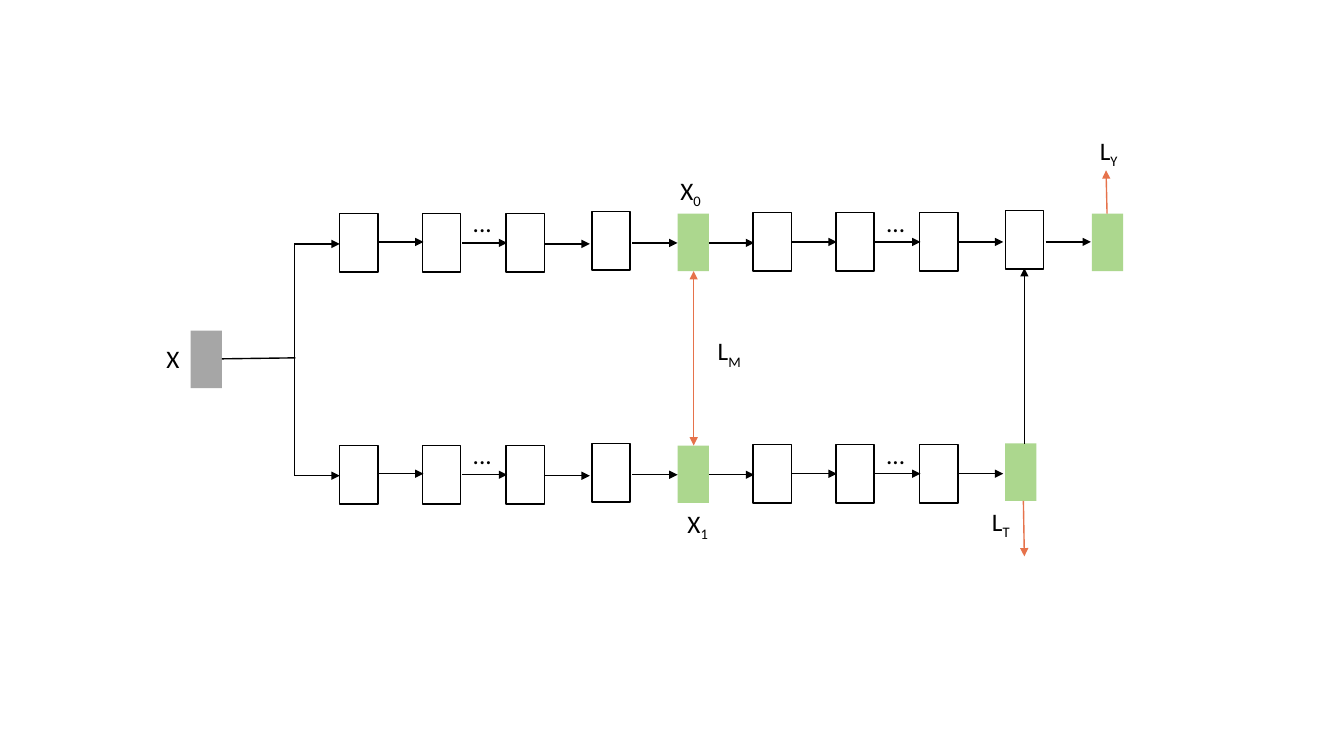
"""Build a slide with a two-branch network diagram and its three losses."""
from lxml import etree
from pptx import Presentation
from pptx.dml.color import RGBColor
from pptx.enum.shapes import MSO_CONNECTOR, MSO_SHAPE
from pptx.enum.text import MSO_AUTO_SIZE
from pptx.oxml.ns import qn
from pptx.util import Inches, Pt

RECTANGLE = MSO_SHAPE.RECTANGLE
STRAIGHT = MSO_CONNECTOR.STRAIGHT
GROW = MSO_AUTO_SIZE.SHAPE_TO_FIT_TEXT

BLACK, WHITE, GRAY, GREEN, ORANGE = "000000", "FFFFFF", "A6A6A6", "ACD78E", "E6724B"
LAYER_SIZE = (0.38, 0.58)
STATE_SIZE = (0.31, 0.57)
ARROW_LENGTH = 0.45
BRANCH_OFFSETS = (0, 2.3)

BRANCH_LAYERS = [(3.37, 2.12), (4.19, 2.12), (5.02, 2.12), (5.87, 2.1),
                 (7.47, 2.11), (8.29, 2.11), (9.12, 2.11)]
BRANCH_ARROWS = [(2.92, 2.42), (3.75, 2.4), (4.58, 2.41), (5.4, 2.42), (6.27, 2.41),
                 (7.03, 2.41), (7.85, 2.4), (8.68, 2.4), (9.5, 2.4)]
BRANCH_DOTS = [(4.59, 2.01), (8.69, 2.01)]
MERGE_LAYER = (9.97, 2.09)
MERGE_ARROW = (10.37, 2.4)

STATES = [(1.89, 3.28, GRAY), (6.72, 2.12, GREEN), (6.72, 4.42, GREEN),
          (9.97, 4.4, GREEN), (10.83, 2.12, GREEN)]
LINKS = [
    ((2.2, 3.56), (2.93, 3.55), BLACK, ()),
    ((2.92, 2.42), (2.92, 4.72), BLACK, ()),
    ((10.16, 4.4), (10.16, 2.66), BLACK, ("tailEnd",)),
    ((10.15, 4.97), (10.16, 5.52), ORANGE, ("tailEnd",)),
    ((10.98, 2.12), (10.97, 1.69), ORANGE, ("tailEnd",)),
    ((6.88, 4.42), (6.88, 2.69), ORANGE, ("headEnd", "tailEnd")),
]
LABELS = [
    ("X", "1", 6.72, 4.99, 0.6),
    ("X", "0", 6.65, 1.69, 0.6),
    ("L", "T", 9.74, 4.97, 0.63),
    ("L", "Y", 10.81, 1.29, 0.63),
    ("L", "M", 7.02, 3.28, 0.63),
]


def color(value):
    return RGBColor.from_string(value)


def add_box(slide, left, top, size, fill, outline=None):
    shape = slide.shapes.add_shape(RECTANGLE, *map(Inches, (left, top, *size)))
    shape.shadow.inherit = False
    shape.fill.solid()
    shape.fill.fore_color.rgb = color(fill)
    if outline:
        shape.line.color.rgb = color(outline)
        shape.line.width = Pt(1)
    else:
        shape.line.fill.background()


def add_link(slide, start, end, line_color=BLACK, heads=("tailEnd",)):
    connector = slide.shapes.add_connector(STRAIGHT, *map(Inches, (*start, *end)))
    connector.line.color.rgb = color(line_color)
    connector.line.width = Pt(1)
    line = connector.line._get_or_add_ln()
    for head in heads:
        etree.SubElement(line, qn(f"a:{head}")).set("type", "triangle")
    etree.SubElement(connector._element.spPr, qn("a:effectLst"))


def add_arrow(slide, left, top):
    add_link(slide, (left, top), (left + ARROW_LENGTH, top))


def add_label(slide, text, left, top, width, subscript="", margins=(0.1, 0.1)):
    box = slide.shapes.add_textbox(*map(Inches, (left, top, width, 0.4)))
    frame = box.text_frame
    frame.word_wrap = True
    frame.auto_size = GROW
    frame.margin_left, frame.margin_right = map(Inches, margins)
    paragraph = frame.paragraphs[0]
    for part in filter(None, (text, subscript)):
        run = paragraph.add_run()
        run.text = part
        run.font.name = "Calibri"
        run.font.size = Pt(18)
        run.font.color.rgb = color(BLACK)
    if subscript:
        run.font._element.set("baseline", "-25000")


def main():
    presentation = Presentation()
    presentation.slide_width = Inches(13.33)
    presentation.slide_height = Inches(7.5)
    slide = presentation.slides.add_slide(presentation.slide_layouts[6])

    for left, top, fill in STATES:
        add_box(slide, left, top, STATE_SIZE, fill)
    add_box(slide, *MERGE_LAYER, LAYER_SIZE, WHITE, BLACK)
    for offset in BRANCH_OFFSETS:
        for left, top in BRANCH_LAYERS:
            add_box(slide, left, top + offset, LAYER_SIZE, WHITE, BLACK)
        for left, top in BRANCH_ARROWS:
            add_arrow(slide, left, top + offset)
        for left, top in BRANCH_DOTS:
            add_label(slide, "...", left, top + offset, 0.44)

    add_arrow(slide, *MERGE_ARROW)
    for link in LINKS:
        add_link(slide, *link)
    add_label(slide, "X", 1.58, 3.36, 0.17, margins=(0.07, 0))
    for text, subscript, left, top, width in LABELS:
        add_label(slide, text, left, top, width, subscript=subscript)

    presentation.save("out.pptx")


if __name__ == "__main__":
    main()
